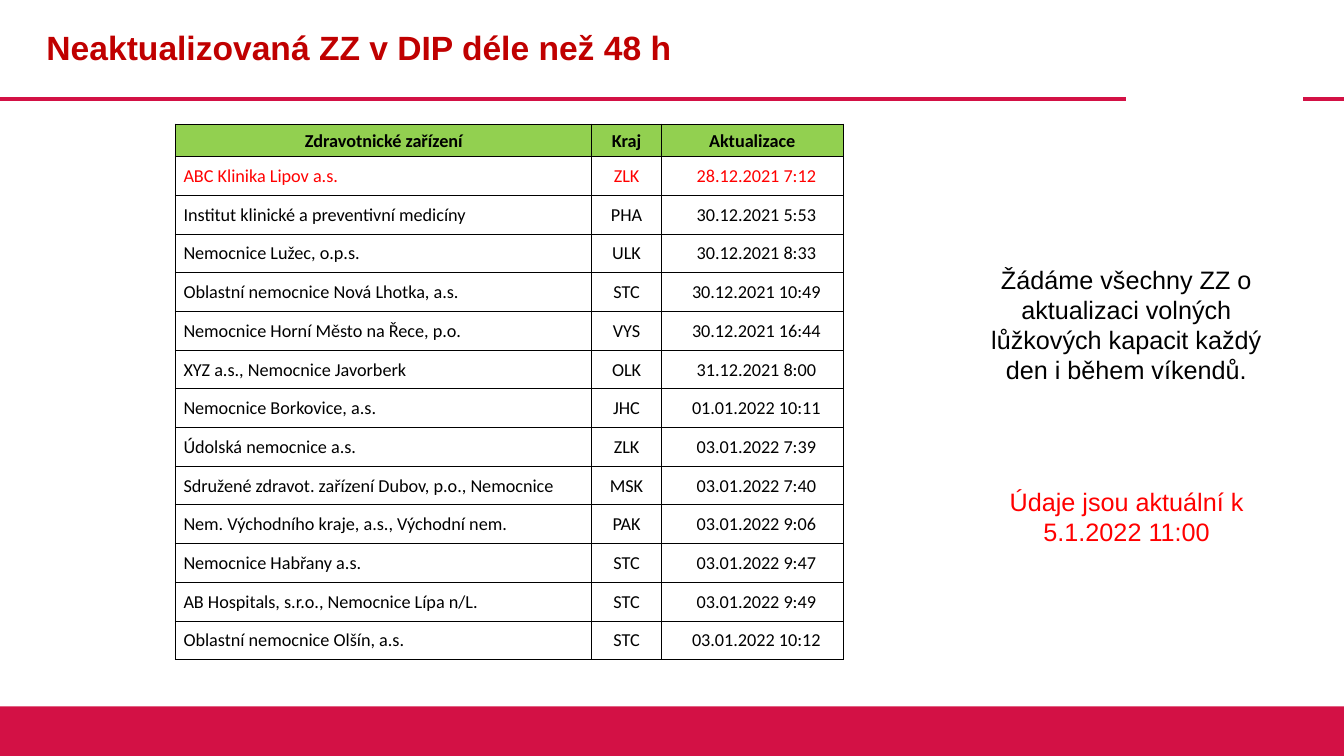
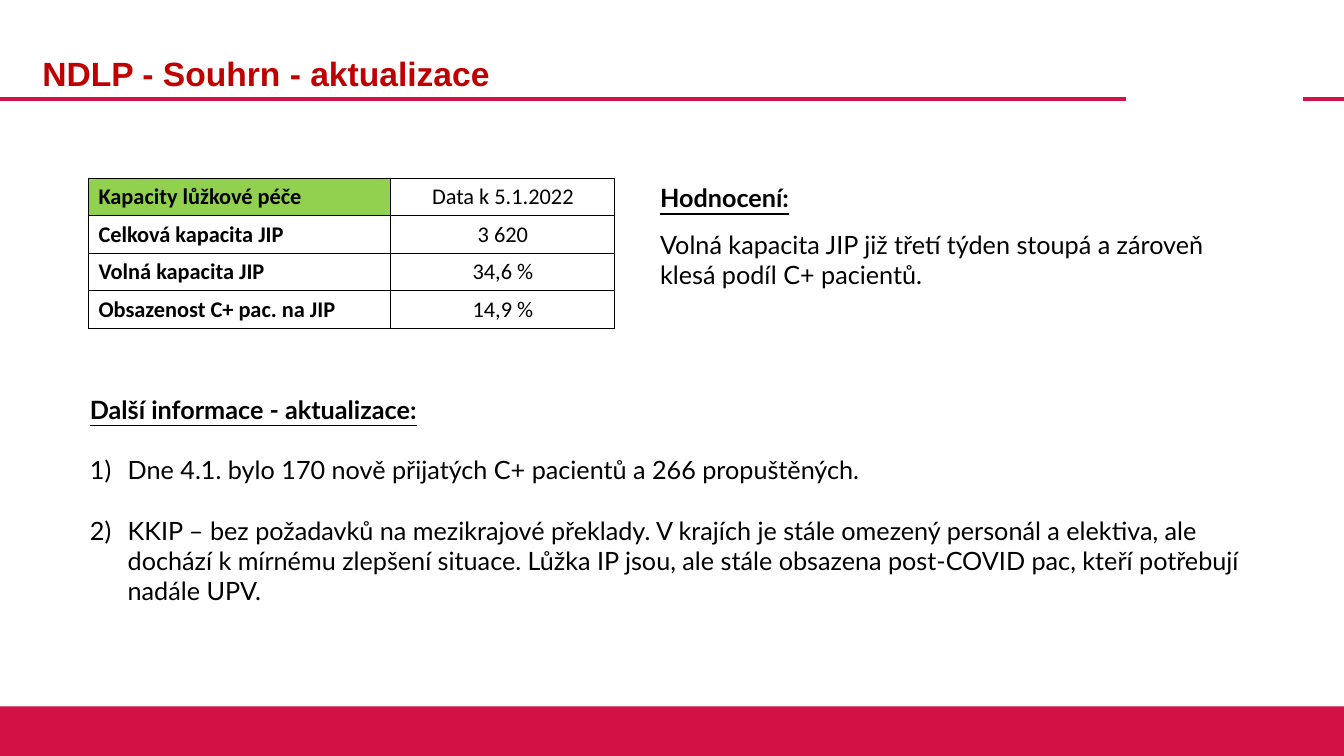
from lxml.etree import SubElement
from pptx import Presentation
from pptx.dml.color import RGBColor
from pptx.enum.shapes import MSO_CONNECTOR, MSO_SHAPE
from pptx.enum.text import MSO_ANCHOR, MSO_AUTO_SIZE, PP_ALIGN
from pptx.oxml.ns import qn
from pptx.util import Pt

# Shared look
WIDE, HIGH = 960, 540
BAND, HEAD, RED, GREEN = "D31145", "C00000", "FF0000", "92D050"
BLACK, WHITE = "000000", "FFFFFF"
RULES = [(0, 804), (931, 960)]
RULE_Y, BAND_Y = 70.5, 504.5
LEFT, MID = PP_ALIGN.LEFT, PP_ALIGN.CENTER
TITLE = dict(name="Arial", size=Pt(24), bold=True)
NOTE = dict(name="Arial", size=Pt(18))
BODY = dict(name="Lato", size=Pt(18))
TOPIC = dict(BODY, bold=True, underline=True)

# Content of slide 1
LATE_HEAD = "Neaktualizovaná ZZ v DIP déle než 48 h"
SITES = [
    ("Zdravotnické zařízení", "Kraj", "Aktualizace"),
    ("ABC Klinika Lipov a.s.", "ZLK", "28.12.2021 7:12"),
    ("Institut klinické a preventivní medicíny", "PHA", "30.12.2021 5:53"),
    ("Nemocnice Lužec, o.p.s.", "ULK", "30.12.2021 8:33"),
    ("Oblastní nemocnice Nová Lhotka, a.s.", "STC", "30.12.2021 10:49"),
    ("Nemocnice Horní Město na Řece, p.o.", "VYS", "30.12.2021 16:44"),
    ("XYZ a.s., Nemocnice Javorberk", "OLK", "31.12.2021 8:00"),
    ("Nemocnice Borkovice, a.s.", "JHC", "01.01.2022 10:11"),
    ("Údolská nemocnice a.s.", "ZLK", "03.01.2022 7:39"),
    ("Sdružené zdravot. zařízení Dubov, p.o., Nemocnice", "MSK",
     "03.01.2022 7:40"),
    ("Nem. Východního kraje, a.s., Východní nem.", "PAK", "03.01.2022 9:06"),
    ("Nemocnice Habřany a.s.", "STC", "03.01.2022 9:47"),
    ("AB Hospitals, s.r.o., Nemocnice Lípa n/L.", "STC", "03.01.2022 9:49"),
    ("Oblastní nemocnice Olšín, a.s.", "STC", "03.01.2022 10:12"),
]
NOTES = [
    ("Žádáme všechny ZZ o aktualizaci volných lůžkových kapacit každý den "
     "i během víkendů.", (697, 185, 215, 94), BLACK),
    ("Údaje jsou aktuální k 5.1.2022 11:00", (701, 343.5, 207.5, 51), RED),
]

# Content of slide 2
SUM_HEAD = "NDLP - Souhrn - aktualizace"
BEDS = [
    ("Kapacity lůžkové péče", "Data k 5.1.2022"),
    ("Celková kapacita JIP", "3 620"),
    ("Volná kapacita JIP", "34,6 %"),
    ("Obsazenost C+ pac. na JIP", "14,9 %"),
]
VIEW = ("Hodnocení:", "Volná kapacita JIP již třetí týden stoupá a zároveň "
        "klesá podíl C+ pacientů.")
NEWS_HEAD = "Další informace - aktualizace:"
NEWS = [
    "Dne 4.1. bylo 170 nově přijatých C+ pacientů a 266 propuštěných.",
    "KKIP – bez požadavků na mezikrajové překlady. V krajích je stále omezený "
    "personál a elektiva, ale dochází k mírnému zlepšení situace. Lůžka IP "
    "jsou, ale stále obsazena post-COVID pac, kteří potřebují nadále UPV.",
]


def tint(code):
    return RGBColor.from_string(code)


def pts(*nums):
    return [Pt(num) for num in nums]


def place(shape, box):
    shape.left, shape.top, shape.width, shape.height = pts(*box)


def write(para, text, form, color=BLACK, align=LEFT, before=0, after=0):
    para.alignment = align
    para.space_before, para.space_after = pts(before, after)
    run = para.add_run()
    run.text = text
    for key, val in form.items():
        setattr(run.font, key, val)
    run.font.color.rgb = tint(color)


def mark(para, num):
    """Number a paragraph, or clear its bullet."""
    props = para._p.get_or_add_pPr()
    ind = 27 if num else 0
    props.set("marL", str(Pt(ind)))
    props.set("indent", str(-Pt(ind)))
    if num:
        SubElement(props, qn("a:buFont"), typeface=BODY["name"])
        SubElement(props, qn("a:buAutoNum"), type="arabicParenR")
    else:
        SubElement(props, qn("a:buNone"))


def title(slide, text, left, top):
    shape = slide.shapes.title
    place(shape, (left, top, 778, 70.5))
    frame = shape.text_frame
    frame.vertical_anchor = MSO_ANCHOR.MIDDLE
    frame.auto_size = MSO_AUTO_SIZE.NONE
    para = frame.paragraphs[0]
    write(para, text, TITLE, HEAD)
    para.line_spacing = 0.9


def textbox(slide, box):
    frame = slide.shapes.add_textbox(*pts(*box)).text_frame
    frame.word_wrap = True
    return frame


def edge(cell, side, top):
    props = cell._tc.get_or_add_tcPr()
    for name, size in zip("LRTB", (side, side, top, top)):
        line = SubElement(props, qn("a:ln" + name), w=str(Pt(size)))
        fill = SubElement(line, qn("a:solidFill"))
        SubElement(fill, qn("a:srgbClr"), val=BLACK)


def grid(slide, rows, left, top, cols, highs, style):
    """Draw a table; style gives each cell's format from row and column."""
    shape = slide.shapes.add_table(len(rows), len(cols), *pts(
        left, top, sum(cols), sum(highs)))
    table = shape.table
    for col, wide in zip(table.columns, cols):
        col.width = Pt(wide)
    for r, row in enumerate(rows):
        table.rows[r].height = Pt(highs[r])
        for c, text in enumerate(row):
            cell, look = table.cell(r, c), style(r, c)
            edge(cell, *look["edge"])
            cell.fill.solid()
            cell.fill.fore_color.rgb = tint(look["fill"])
            cell.vertical_anchor = MSO_ANCHOR.MIDDLE
            (cell.margin_left, cell.margin_top, cell.margin_right,
             cell.margin_bottom) = pts(*look["pad"])
            form = dict(name="Calibri", size=Pt(look["size"]),
                        bold=look["bold"])
            write(cell.text_frame.paragraphs[0], text, form, look["color"],
                  MID if look["mid"] else LEFT)


def late(r, c):
    top = r == 0
    return dict(fill=GREEN if top else WHITE, edge=(1, 1 if top else 0.5),
                pad=(0.7 if top else (5.8, 0.7, 6.5)[c], 0.7, 0.7, 0),
                size=13, bold=top, color=RED if r == 1 else BLACK,
                mid=top or c > 0)


def beds(r, c):
    return dict(fill=GREEN if r == c == 0 else WHITE, edge=(0.75, 0.75),
                pad=(7.2, 3.6, 7.2, 3.6), size=16, bold=c == 0,
                color=BLACK, mid=c > 0)


def dress(deck, slide):
    """Put the rules and the bottom band on the master."""
    parts = []
    for start, end in RULES:
        rule = slide.shapes.add_connector(
            MSO_CONNECTOR.STRAIGHT, *pts(start, RULE_Y, end, RULE_Y))
        rule.line.color.rgb = tint(BAND)
        rule.line.width = Pt(3)
        SubElement(rule.element.spPr, qn("a:effectLst"))
        parts.append(rule)
    band = slide.shapes.add_shape(
        MSO_SHAPE.RECTANGLE, *pts(0, BAND_Y, WIDE, HIGH - BAND_Y))
    band.shadow.inherit = False
    band.fill.solid()
    band.fill.fore_color.rgb = tint(BAND)
    band.line.fill.background()
    tree = deck.slide_master.shapes.element
    for spot, part in enumerate(parts + [band], 2):
        tree.insert(spot, part.element)


def main():
    deck = Presentation()
    deck.slide_width, deck.slide_height = pts(WIDE, HIGH)

    # Slide 1: sites with old data
    slide = deck.slides.add_slide(deck.slide_layouts[5])
    dress(deck, slide)
    title(slide, LATE_HEAD, 26, 0)
    grid(slide, SITES, 125.3, 88.8, (297.5, 49.5, 130),
         [23] + [27.65] * (len(SITES) - 1), late)
    for text, box, color in NOTES:
        write(textbox(slide, box).paragraphs[0], text, NOTE, color, MID)

    # Slide 2: summary
    slide = deck.slides.add_slide(deck.slide_layouts[1])
    title(slide, SUM_HEAD, 23, 18.5)
    grid(slide, BEDS, 63.2, 127.4, (216, 160), [26.8] * len(BEDS), beds)
    frame = textbox(slide, (464.4, 126.7, 414, 85))
    write(frame.paragraphs[0], VIEW[0], TOPIC, after=12)
    write(frame.add_paragraph(), VIEW[1], BODY)

    # Numbered news
    body = slide.placeholders[1]
    place(body, (57, 278, 862.5, 204))
    frame = body.text_frame
    frame.auto_size = MSO_AUTO_SIZE.NONE
    mark(frame.paragraphs[0], False)
    write(frame.paragraphs[0], NEWS_HEAD, TOPIC)
    for text in NEWS:
        para = frame.add_paragraph()
        mark(para, True)
        write(para, text, BODY, before=21.6)

    deck.save("out.pptx")


if __name__ == "__main__":
    main()
